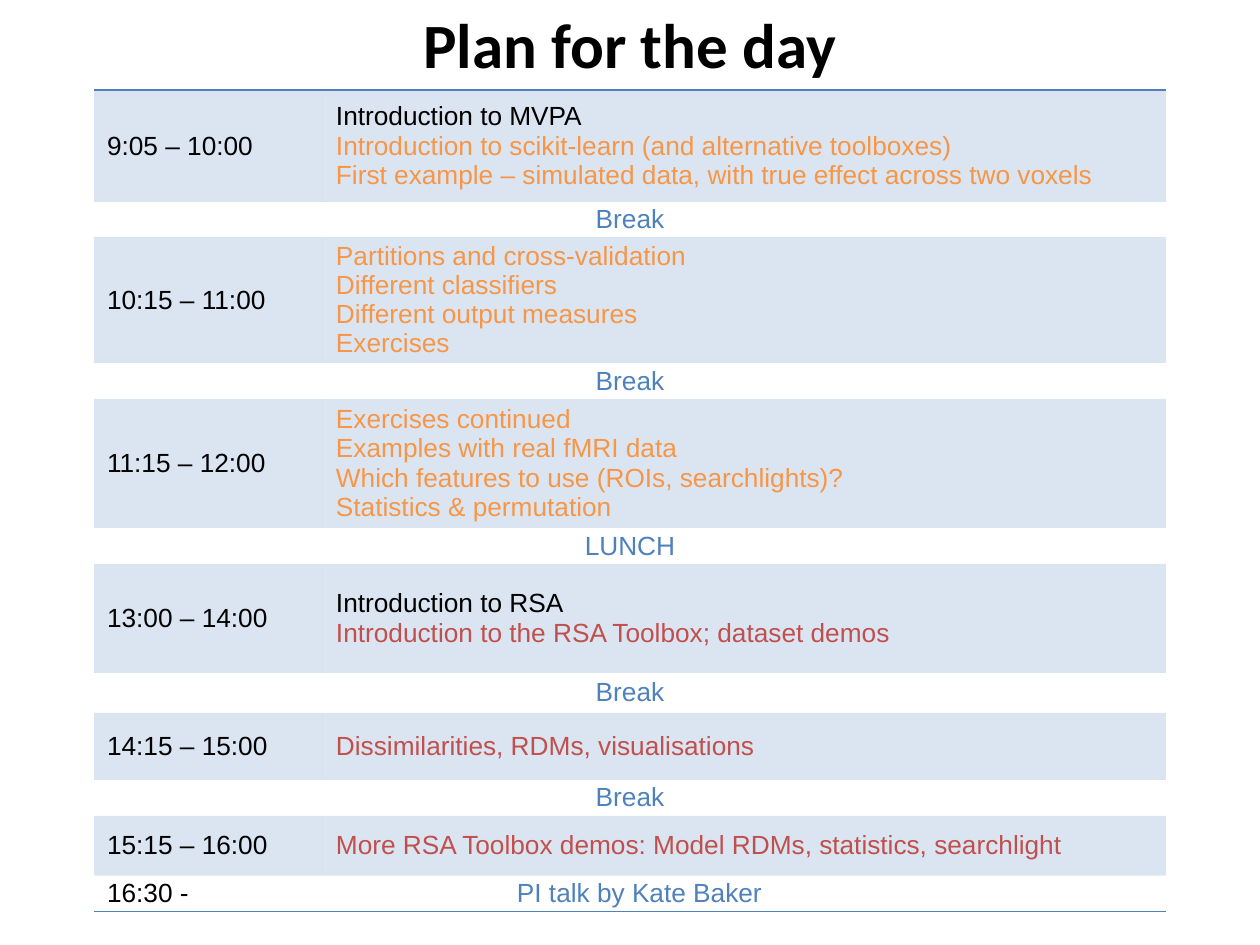
"""Build the schedule slide: a title above a table of sessions and breaks."""
from lxml import etree
from pptx import Presentation
from pptx.dml.color import RGBColor
from pptx.enum.text import MSO_ANCHOR, PP_ALIGN
from pptx.oxml.ns import qn
from pptx.util import Emu, Pt

MIDDLE = MSO_ANCHOR.MIDDLE
CENTER = PP_ALIGN.CENTER
LEFT = PP_ALIGN.LEFT
PX = 914400 // 126
BLACK, BLUE, ORANGE, RED = "000000", "4F81BD", "F79646", "C0504D"
NO_GRID_STYLE = "{2D5ABB26-0587-4C30-8999-92F81FD0307C}"

TITLE = "Plan for the day"
TITLE_BOX = (63, 0, 1134, 86)
TABLE_LEFT, TABLE_TOP = 94, 90
COLUMN_WIDTHS = (229, 843)
CELL_MARGIN, TALK_MARGIN = 13, 194

# (height, time, lines); a row without a time is a break across both columns
SCHEDULE = [
    (112, "9:05 – 10:00", [
        ("Introduction to MVPA", BLACK),
        ("Introduction to scikit-learn (and alternative toolboxes)", ORANGE),
        ("First example – simulated data, with true effect across two voxels", ORANGE)]),
    (35, None, [("Break", BLUE)]),
    (116, "10:15 – 11:00", [
        ("Partitions and cross-validation", ORANGE),
        ("Different classifiers", ORANGE),
        ("Different output measures", ORANGE),
        ("Exercises", ORANGE)]),
    (36, None, [("Break", BLUE)]),
    (129, "11:15 – 12:00", [
        ("Exercises continued", ORANGE),
        ("Examples with real fMRI data", ORANGE),
        ("Which features to use (ROIs, searchlights)?", ORANGE),
        ("Statistics & permutation", ORANGE)]),
    (36, None, [("LUNCH", BLUE)]),
    (109, "13:00 – 14:00", [
        ("Introduction to RSA", BLACK),
        ("Introduction to the RSA Toolbox; dataset demos", RED)]),
    (40, None, [("Break", BLUE)]),
    (67, "14:15 – 15:00", [("Dissimilarities, RDMs, visualisations", RED)]),
    (36, None, [("Break", BLUE)]),
    (60, "15:15 – 16:00", [
        ("More RSA Toolbox demos: Model RDMs, statistics, searchlight", RED)]),
    (36, "16:30 -", [("PI talk by Kate Baker", BLUE)]),
]


def px(value):
    return Emu(value * PX)


def color(value):
    return RGBColor.from_string(value)


def write(text_frame, lines, size, name, alignment, bold=False):
    text_frame.text = "\n".join(text for text, _ in lines)
    for paragraph, (_, line_color) in zip(text_frame.paragraphs, lines):
        paragraph.alignment = alignment
        for run in paragraph.runs:
            run.font.size = Pt(size)
            run.font.name = name
            run.font.bold = bold
            run.font.color.rgb = color(line_color)


def fill_cell(cell, lines, alignment, margin=CELL_MARGIN):
    cell.vertical_anchor = MIDDLE
    cell.margin_left, cell.margin_right = px(margin), px(CELL_MARGIN)
    cell.margin_top = cell.margin_bottom = 0
    write(cell.text_frame, lines, 15, "Arial", alignment)


def tint(cell):
    cell.fill.solid()
    cell.fill.fore_color.rgb = color(BLUE)
    rgb = cell._tc.tcPr.find(".//" + qn("a:srgbClr"))
    etree.SubElement(rgb, qn("a:alpha"), val="20000")


def add_border(cell, side):
    line = etree.Element(qn("a:" + side), w=str(Pt(1)))
    fill = etree.SubElement(line, qn("a:solidFill"))
    etree.SubElement(fill, qn("a:srgbClr"), val=BLUE)
    cell._tc.get_or_add_tcPr().insert(0, line)


def add_title(slide):
    text_frame = slide.shapes.add_textbox(*map(px, TITLE_BOX)).text_frame
    text_frame.word_wrap = True
    text_frame.vertical_anchor = MIDDLE
    write(text_frame, [(TITLE, BLACK)], 36, "Calibri", CENTER, bold=True)


def add_schedule(slide):
    height = sum(row[0] for row in SCHEDULE)
    last = len(SCHEDULE) - 1
    table = slide.shapes.add_table(
        len(SCHEDULE), 2, px(TABLE_LEFT), px(TABLE_TOP),
        px(sum(COLUMN_WIDTHS)), px(height)).table
    table.first_row = table.horz_banding = False
    table._tbl.tblPr.find(qn("a:tableStyleId")).text = NO_GRID_STYLE
    for column, width in zip(table.columns, COLUMN_WIDTHS):
        column.width = px(width)
    for index, (row_height, time, lines) in enumerate(SCHEDULE):
        table.rows[index].height = px(row_height)
        first, second = table.cell(index, 0), table.cell(index, 1)
        for cell in (first, second):
            cell.fill.background()
        if time is None:
            first.merge(second)
            fill_cell(first, lines, CENTER)
            continue
        fill_cell(first, [(time, BLACK)], LEFT)
        fill_cell(second, lines, LEFT, TALK_MARGIN if index == last else CELL_MARGIN)
        for cell in (first, second):
            if index < last:
                tint(cell)
            if index == 0:
                add_border(cell, "lnT")
            elif index == last:
                add_border(cell, "lnB")


def main():
    presentation = Presentation()
    presentation.slide_width, presentation.slide_height = px(1260), px(945)
    slide = presentation.slides.add_slide(presentation.slide_layouts[6])
    add_title(slide)
    add_schedule(slide)
    presentation.save("out.pptx")


if __name__ == "__main__":
    main()
